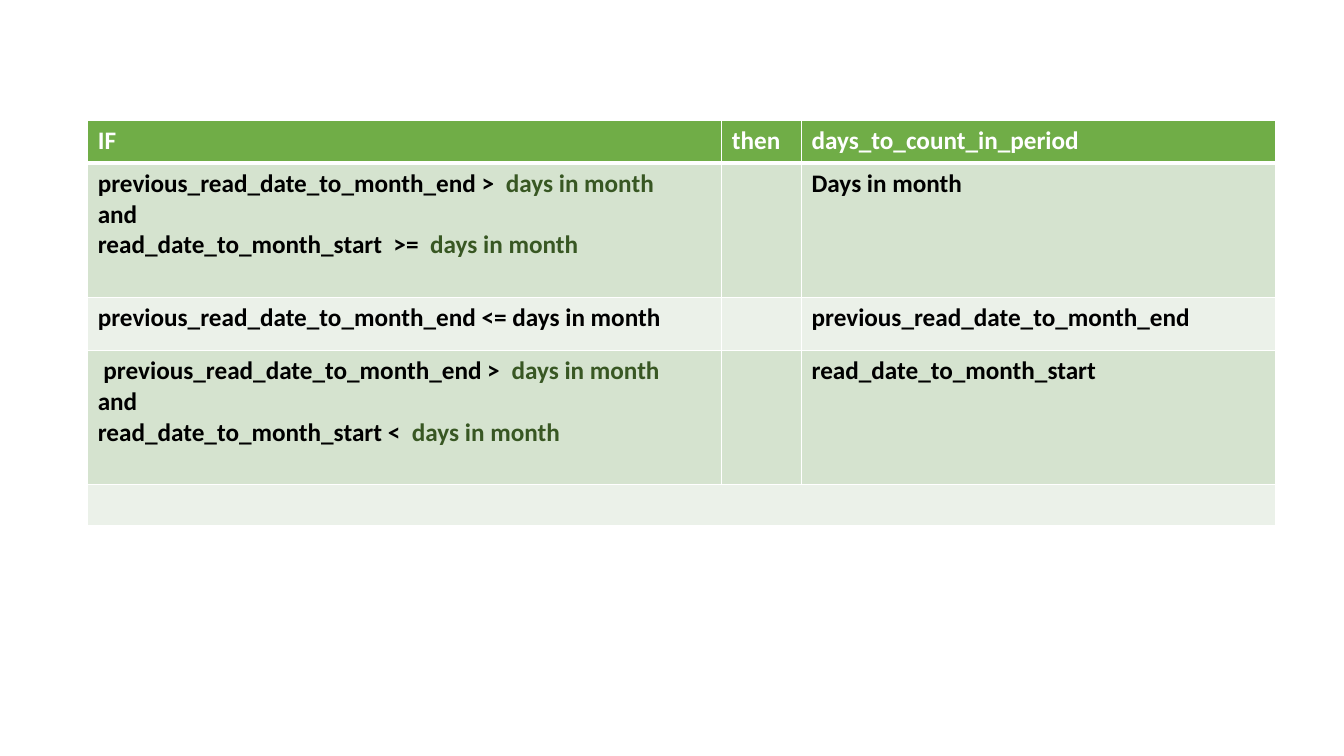
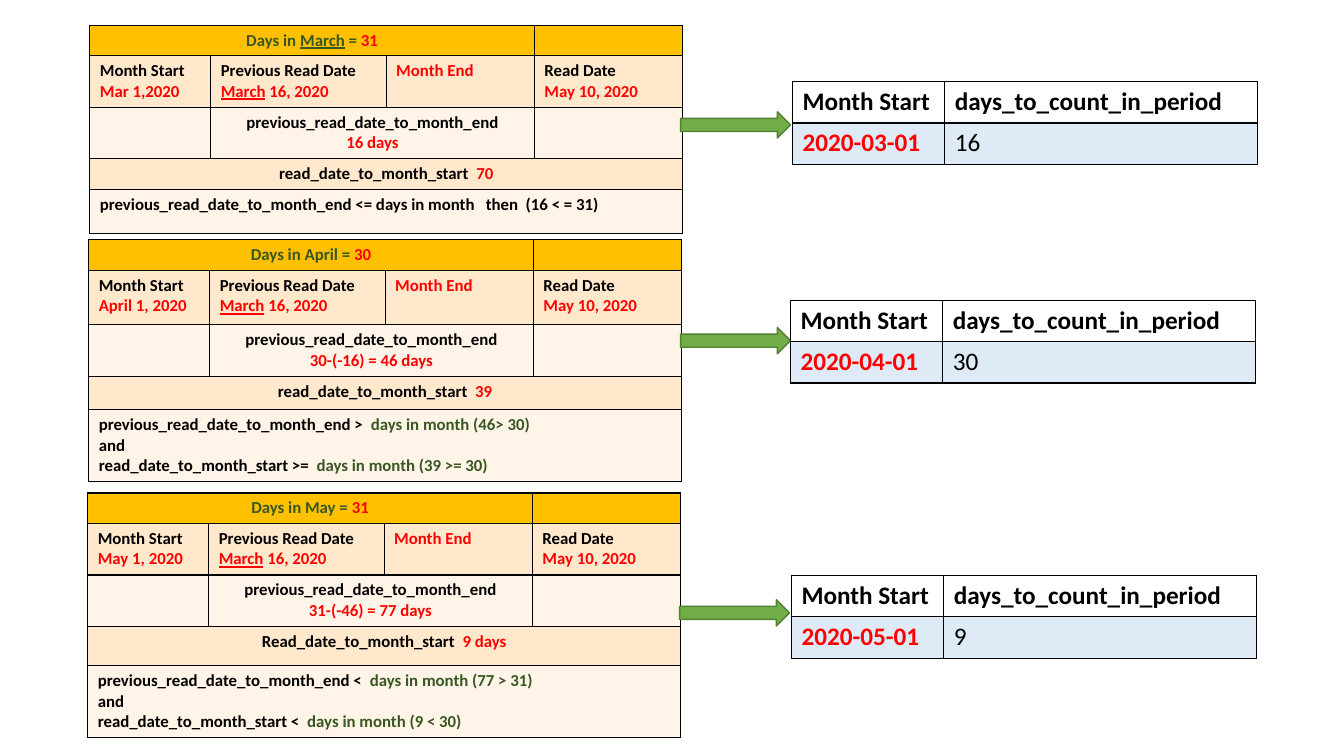
from dataclasses import dataclass

from lxml.etree import SubElement
from pptx import Presentation
from pptx.dml.color import RGBColor
from pptx.enum.shapes import MSO_SHAPE
from pptx.enum.text import PP_ALIGN
from pptx.oxml.ns import qn
from pptx.util import Inches, Pt


@dataclass(frozen=True)
class Theme:
    font: str = "Calibri"
    large: int = 18
    small: int = 12
    text: str = "000000"
    white: str = "FFFFFF"
    red: str = "FF0000"
    dark_green: str = "385723"
    green: str = "70AD47"
    green_line: str = "538035"
    band_dark: str = "D5E3CF"
    band_light: str = "EBF1E9"
    gold: str = "FFC000"
    peach: str = "FFE8CC"
    cream: str = "FFF4E7"
    blue: str = "DEEBF7"


T = Theme()


def write(p, text, color=T.text, size=T.large, bold=True, underline=False):
    r = p.add_run()
    r.text = text
    r.font.name = T.font
    r.font.size = Pt(size)
    r.font.bold = bold
    r.font.underline = underline
    r.font.color.rgb = RGBColor.from_string(color)


def add_grid(s, left, top, widths, heights, rows, size=T.large, edge=T.text, header_rule=1):
    """Each row is (fill, centred, cells); a cell is a list of paragraphs, each a list
    of (text, color, format) runs. None joins the cell to the one on its left."""
    tbl = s.shapes.add_table(len(rows), len(widths), Inches(left), Inches(top),
                             Inches(sum(widths)), Inches(sum(heights))).table
    tbl.first_row = tbl.horz_banding = False
    for column, width in zip(tbl.columns, widths):
        column.width = Inches(width)
    for i, (fill, centred, cells) in enumerate(rows):
        tbl.rows[i].height = Inches(heights[i])
        for j, paragraphs in enumerate(cells):
            cell = tbl.cell(i, j)
            tcPr = cell._tc.get_or_add_tcPr()
            for side in ("lnL", "lnR", "lnT", "lnB"):
                under_header = (i, side) in ((0, "lnB"), (1, "lnT"))
                ln = SubElement(tcPr, qn(f"a:{side}"),
                                w=str(Pt(header_rule if under_header else 1)))
                SubElement(SubElement(ln, qn("a:solidFill")), qn("a:srgbClr"), val=edge)
            if fill:
                cell.fill.solid()
                cell.fill.fore_color.rgb = RGBColor.from_string(fill)
            else:
                cell.fill.background()
            tf = cell.text_frame
            if not paragraphs:
                SubElement(tf.paragraphs[0]._p, qn("a:endParaRPr"), sz=str(size * 100))
            for k, runs in enumerate(paragraphs or []):
                p = tf.add_paragraph() if k else tf.paragraphs[0]
                p.alignment = PP_ALIGN.CENTER if centred else PP_ALIGN.LEFT
                for text, color, *form in runs:
                    write(p, text, color, size=size, **(form[0] if form else {}))
        start = 0
        for j in range(1, len(cells) + 1):
            if j == len(cells) or cells[j] is not None:
                if j - start > 1:
                    tbl.cell(i, start).merge(tbl.cell(i, j - 1))
                start = j


prs = Presentation()
prs.slide_width, prs.slide_height = Inches(13.33), Inches(7.5)
blank = prs.slide_layouts[6]

# Slide 1: the rules
s = prs.slides.add_slide(blank)
in_month = ("days in month", T.dark_green)
both = [("and", T.text)]
add_grid(s, 0.87, 1.19, [6.29, 0.79, 4.7], [0.43, 1.33, 0.53, 1.33, 0.4], [
    (T.green, False, [[[(head, T.white)]] for head in ("IF", "then", "days_to_count_in_period")]),
    (T.band_dark, False, [
        [[("previous_read_date_to_month_end >  ", T.text), in_month], both,
         [("read_date_to_month_start  >=  ", T.text), in_month]],
        [], [[("Days in month", T.text)]]]),
    (T.band_light, False, [
        [[("previous_read_date_to_month_end <= days in month", T.text)]],
        [], [[("previous_read_date_to_month_end", T.text)]]]),
    (T.band_dark, False, [
        [[(" previous_read_date_to_month_end >  ", T.text), in_month], both,
         [("read_date_to_month_start <  ", T.text), in_month]],
        [], [[("read_date_to_month_start", T.text)]]]),
    (T.band_light, False, [[], None, None]),
], edge=T.white, header_rule=3)

# Slide 2: one worked example for each month
s = prs.slides.add_slide(blank)
underlined = {"underline": True}
months = [
    dict(at=(0.89, 0.25), heights=[0.3, 0.51, 0.51, 0.31, 0.43],
         arrow=(6.75, 1.11), result=(7.86, 0.81),
         title=[("Days in ", T.dark_green), ("March", T.dark_green, underlined),
                (" = ", T.dark_green), ("31", T.red)],
         first="Mar 1,2020", to_end="16 days",
         to_start=("read_date_to_month_start  ", "70"),
         rule=[[("previous_read_date_to_month_end <= days in month   then  (16 < = 31)", T.text)]],
         date="2020-03-01", days="16"),
    dict(at=(0.88, 2.38), heights=[0.3, 0.54, 0.51, 0.33, 0.71],
         arrow=(6.75, 3.25), result=(7.84, 2.98),
         title=[("Days in April = ", T.dark_green), ("30", T.red)],
         first="April 1, 2020", to_end="30-(-16) = 46 days",
         to_start=("read_date_to_month_start  ", "39"),
         rule=[[("previous_read_date_to_month_end >  ", T.text),
                ("days in month (46> 30)", T.dark_green)], both,
               [("read_date_to_month_start >=  ", T.text),
                ("days in month (39 >= 30)", T.dark_green)]],
         date="2020-04-01", days="30"),
    dict(at=(0.87, 4.89), heights=[0.3, 0.51, 0.51, 0.39, 0.71],
         arrow=(6.74, 5.95), result=(7.85, 5.71),
         title=[("Days in May = ", T.dark_green), ("31", T.red)],
         first="May 1, 2020", to_end="31-(-46) = 77 days",
         to_start=("Read_date_to_month_start  ", "9 days"),
         rule=[[("previous_read_date_to_month_end <  ", T.text),
                ("days in month (77 > 31)", T.dark_green)], both,
               [("read_date_to_month_start <  ", T.text),
                ("days in month (9 < 30)", T.dark_green)]],
         date="2020-05-01", days="9"),
]
for m in months:
    label, count = m["to_start"]
    add_grid(s, *m["at"], [1.2, 1.74, 1.47, 1.47], m["heights"], [
        (T.gold, True, [[m["title"]], None, None, []]),
        (T.peach, False, [
            [[("Month Start", T.text)], [(m["first"], T.red)]],
            [[("Previous Read Date", T.text)],
             [("March", T.red, underlined), (" 16, 2020", T.red)]],
            [[("Month End", T.red)]],
            [[("Read Date", T.text)], [("May 10, 2020", T.red)]]]),
        (T.cream, True, [
            [], [[("previous_read_date_to_month_end", T.text)], [(m["to_end"], T.red)]],
            None, []]),
        (T.peach, True, [[[(label, T.text), (count, T.red)]], None, None, None]),
        (T.cream, False, [m["rule"], None, None, None]),
    ], size=T.small)

    x, y = m["arrow"]
    arrow = s.shapes.add_shape(MSO_SHAPE.RIGHT_ARROW, Inches(x), Inches(y),
                               Inches(1.09), Inches(0.26))
    arrow.shadow.inherit = False
    arrow.fill.solid()
    arrow.fill.fore_color.rgb = RGBColor.from_string(T.green)
    arrow.line.color.rgb = RGBColor.from_string(T.green_line)
    arrow.line.width = Pt(1)

    add_grid(s, *m["result"], [1.51, 3.1], [0.41, 0.41], [
        (None, False, [[[("Month Start", T.text)]], [[("days_to_count_in_period", T.text)]]]),
        (T.blue, False, [[[(m["date"], T.red)]], [[(m["days"], T.text, {"bold": False})]]]),
    ])

prs.save("out.pptx")
